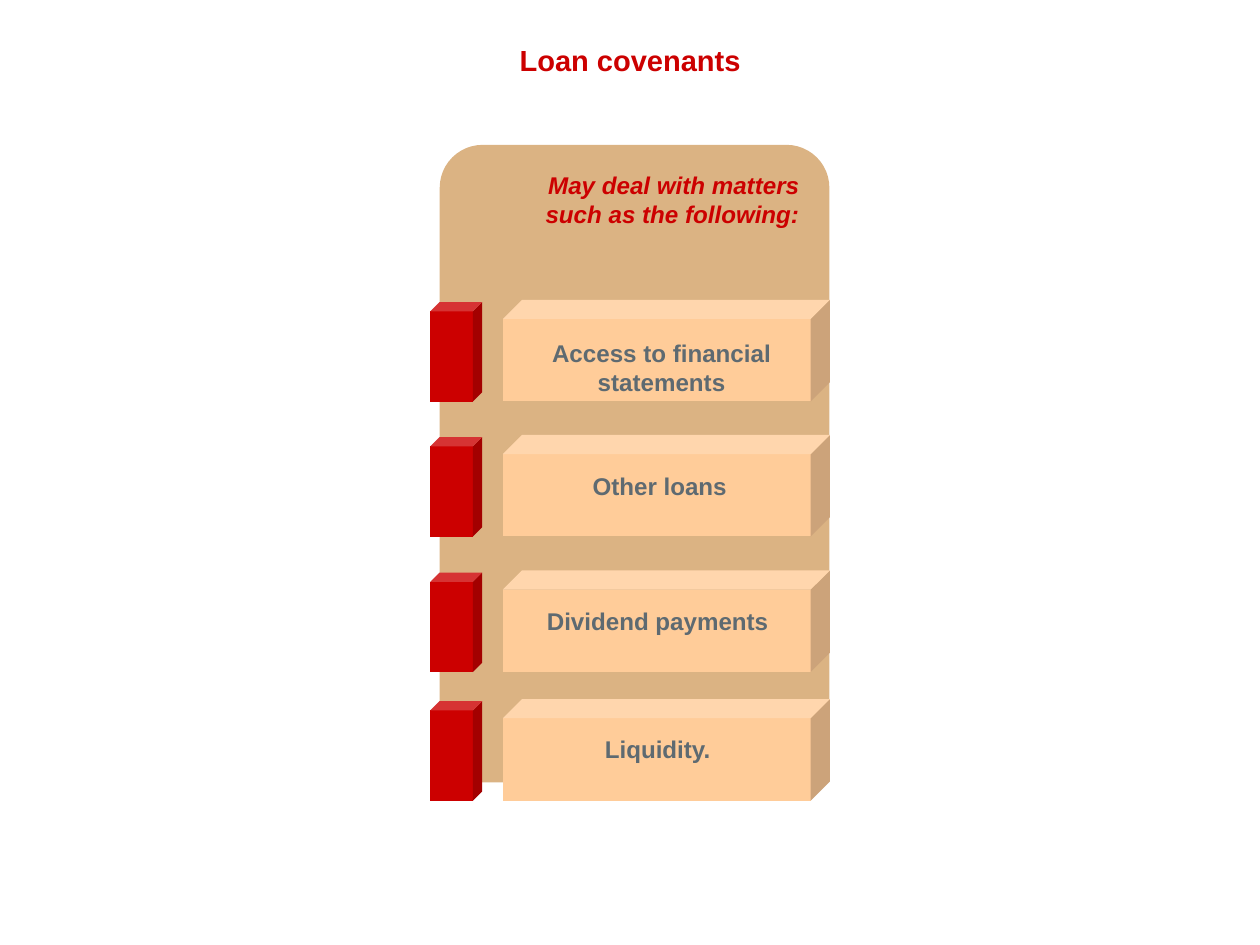
from pptx import Presentation
from pptx.dml.color import RGBColor
from pptx.enum.shapes import MSO_SHAPE
from pptx.enum.text import MSO_ANCHOR, PP_ALIGN
from pptx.util import Pt

CUBE, ROUNDED = MSO_SHAPE.CUBE, MSO_SHAPE.ROUNDED_RECTANGLE
CENTER, RIGHT = PP_ALIGN.CENTER, PP_ALIGN.RIGHT
TOP = MSO_ANCHOR.TOP

THEME = {
    "font": "Arial",
    "red": RGBColor.from_string("CC0000"),
    "panel": RGBColor.from_string("DBB383"),
    "bar": RGBColor.from_string("FFCC99"),
    "label": RGBColor.from_string("5E6A71"),
    "title_size": 16.6,
    "body_size": 13.8,
}

TITLE = "Loan covenants"
HEADING = "May deal with matters such as the following:"
# Label, top of its bar, then left, top, width and height of the label box
COVENANTS = [
    ("Access to financial statements", 171.4, (288, 190.1, 180, 41)),
    ("Other loans", 248.6, (283.7, 265.7, 186.5, 23.8)),
    ("Dividend payments", 326, (285.8, 342.7, 180, 23.8)),
    ("Liquidity.", 399.5, (285.8, 416.2, 180, 23.8)),
]

TITLE_BOX = (183.6, 20.9, 352.8, 27.4)
PANEL_BOX = (251.3, 82.8, 222.7, 364.3)
HEADING_BOX = (285.1, 93.6, 178.6, 41)
BAR_LEFT, BAR_WIDTH, BAR_HEIGHT = 287.4, 186.8, 58
MARKER_LEFT, MARKER_WIDTH, MARKER_HEIGHT = 245.9, 29.6, 56.9
MARKER_DROP = 1.2


def points(box):
    return [Pt(value) for value in box]


def write(shape, text, size, color, alignment=CENTER, italic=False):
    frame = shape.text_frame
    frame.text = text
    frame.word_wrap = True
    frame.vertical_anchor = TOP
    frame.margin_left = frame.margin_right = Pt(7.2)
    frame.margin_top = frame.margin_bottom = Pt(3.6)
    paragraph = frame.paragraphs[0]
    paragraph.alignment = alignment
    paragraph.space_before = Pt(0)
    font = paragraph.runs[0].font
    font.name = THEME["font"]
    font.size = Pt(size)
    font.bold = True
    font.italic = italic
    font.color.rgb = color


def add_block(shapes, kind, box, adjustment, color):
    shape = shapes.add_shape(kind, *points(box))
    shape.adjustments[0] = adjustment
    shape.shadow.inherit = False
    shape.fill.solid()
    shape.fill.fore_color.rgb = color
    shape.line.fill.background()


def main():
    presentation = Presentation()
    presentation.slide_width, presentation.slide_height = Pt(720), Pt(540)
    slide = presentation.slides.add_slide(presentation.slide_layouts[5])

    title = slide.shapes.title
    title.left, title.top, title.width, title.height = points(TITLE_BOX)
    write(title, TITLE, THEME["title_size"], THEME["red"])

    shapes = slide.shapes.add_group_shape().shapes
    add_block(shapes, ROUNDED, PANEL_BOX, 0.11, THEME["panel"])
    heading = shapes.add_textbox(*points(HEADING_BOX))
    write(heading, HEADING, THEME["body_size"], THEME["red"], RIGHT, italic=True)

    for text, top, label_box in COVENANTS:
        marker_box = (MARKER_LEFT, top + MARKER_DROP, MARKER_WIDTH, MARKER_HEIGHT)
        add_block(shapes, CUBE, marker_box, 0.179, THEME["red"])
        bar_box = (BAR_LEFT, top, BAR_WIDTH, BAR_HEIGHT)
        add_block(shapes, CUBE, bar_box, 0.188, THEME["bar"])
        label = shapes.add_textbox(*points(label_box))
        write(label, text, THEME["body_size"], THEME["label"])

    presentation.save("out.pptx")


if __name__ == "__main__":
    main()
